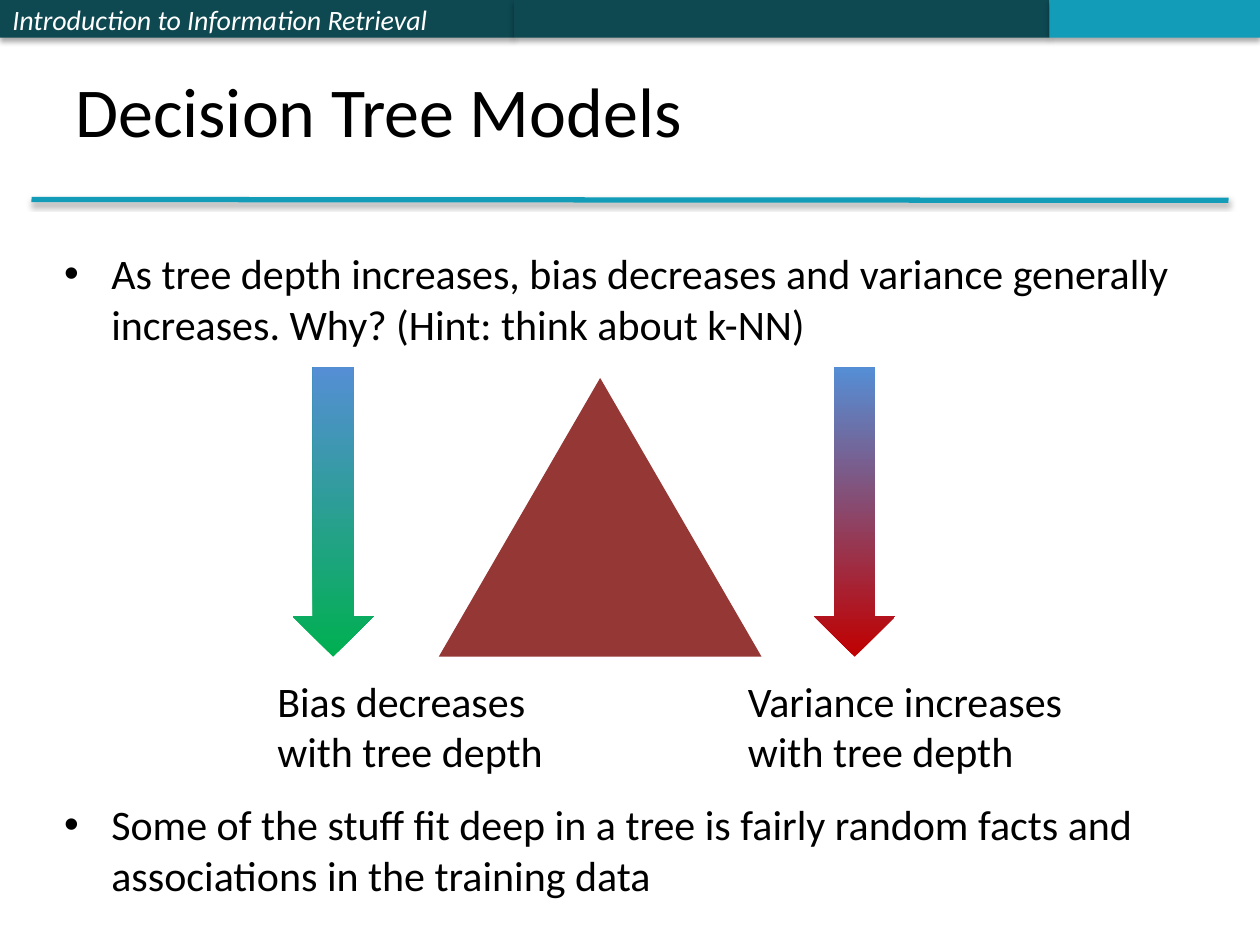
from dataclasses import dataclass

from lxml import etree
from pptx import Presentation
from pptx.dml.color import RGBColor
from pptx.enum.shapes import MSO_CONNECTOR, MSO_SHAPE
from pptx.enum.text import MSO_ANCHOR, PP_ALIGN
from pptx.oxml.ns import qn
from pptx.util import Pt

RECT, TRIANGLE, ARROW = MSO_SHAPE.RECTANGLE, MSO_SHAPE.ISOSCELES_TRIANGLE, MSO_SHAPE.DOWN_ARROW
STRAIGHT = MSO_CONNECTOR.STRAIGHT
TOP, MIDDLE, BOTTOM = MSO_ANCHOR.TOP, MSO_ANCHOR.MIDDLE, MSO_ANCHOR.BOTTOM
LEFT = PP_ALIGN.LEFT


@dataclass(frozen=True)
class Theme:
    font: str = "Calibri"
    head: int = 16
    title: int = 40
    body: int = 24
    ink: str = "000000"
    paper: str = "FFFFFF"
    dark: str = "0E4851"
    teal: str = "139CB7"
    tree: str = "953735"
    start: str = "558ED5"
    good: str = "00B050"
    bad: str = "C00000"


THEME = Theme()


def rgb(code):
    return RGBColor.from_string(code)


def add_shade(shape, alpha, dist):
    """Drop a soft black shadow straight down; alpha in percent."""
    props = shape._element.spPr
    effects = props.find(qn("a:effectLst"))
    if effects is None:
        effects = etree.SubElement(props, qn("a:effectLst"))
    outer = etree.SubElement(effects, qn("a:outerShdw"), blurRad=str(Pt(3.1)),
                             dist=str(Pt(dist)), dir="5400000", rotWithShape="0")
    color = etree.SubElement(outer, qn("a:srgbClr"), val=THEME.ink)
    etree.SubElement(color, qn("a:alpha"), val=str(alpha * 1000))


def add_block(slide, kind, box, color=None):
    shape = slide.shapes.add_shape(kind, *map(Pt, box))
    shape.shadow.inherit = False
    shape.line.fill.background()
    if color:
        shape.fill.solid()
        shape.fill.fore_color.rgb = rgb(color)
    return shape


def set_text(shape, text, size, color=THEME.ink, anchor=TOP, wrap=True):
    frame = shape.text_frame
    frame.word_wrap = wrap
    frame.vertical_anchor = anchor
    frame.text = text
    para = frame.paragraphs[0]
    para.alignment = LEFT
    font = para.font
    font.name, font.size, font.color.rgb = THEME.font, Pt(size), rgb(color)
    return para


def add_text(slide, box, text, size, **style):
    return set_text(slide.shapes.add_textbox(*map(Pt, box)), text, size, **style)


def add_header(slide, box):
    left, top, width, height = box
    parts = ((0.408, THEME.dark), (0.425, THEME.dark), (0.167, THEME.teal))
    bars = []
    for share, color in parts:
        bar = add_block(slide, RECT, (left, top, share * width, height), color)
        add_shade(bar, 35, 1.8)
        bars.append(bar)
        left += share * width
    para = set_text(bars[0], "Introduction to Information Retrieval",
                    THEME.head, THEME.paper, MIDDLE)
    para.font.italic = True


def add_title(slide, box):
    left, top, width, height = box
    add_text(slide, box, "Decision Tree Models", THEME.title, anchor=BOTTOM)
    base = top + height + 24
    rule = slide.shapes.add_connector(STRAIGHT, Pt(left - 18), Pt(base),
                                      Pt(left + width + 18), Pt(base + 0.5))
    rule.line.color.rgb = rgb(THEME.teal)
    rule.line.width = Pt(3)
    add_shade(rule, 38, 1.6)


def add_bullet(slide, box, text):
    para = add_text(slide, box, text, THEME.body)
    props = para._p.get_or_add_pPr()
    props.set("marL", str(Pt(27)))
    props.set("indent", str(Pt(-27)))
    bullet = etree.Element(qn("a:buChar"), char="•")
    face = etree.Element(qn("a:buFont"), typeface="Arial")
    props.insert(0, face)
    face.addnext(bullet)


def add_trend(slide, box, color, label, shift):
    """Arrow fading down into color, over a label shifted sideways."""
    left, top, width, height = box
    fill = add_block(slide, ARROW, box).fill
    fill.gradient()
    fill.gradient_angle = 90
    for stop, tone in zip(fill.gradient_stops, (color, THEME.start)):
        stop.color.rgb = rgb(tone)
    add_text(slide, (left + shift, top + height + 7, 196, 65.5),
             label + "\vwith tree depth", THEME.body, wrap=False)


def add_figure(slide, box):
    left, top, width, height = box
    add_block(slide, TRIANGLE, (left + 83.5, top + 6, 184.5, height - 6), THEME.tree)
    trends = ((left, THEME.good, "Bias decreases", -15.8),
              (left + width - 46.5, THEME.bad, "Variance increases", -44.8))
    for x, color, label, shift in trends:
        add_trend(slide, (x, top, 46.5, height), color, label, shift)


def main():
    deck = Presentation()
    deck.slide_width, deck.slide_height = Pt(720), Pt(540)
    slide = deck.slides.add_slide(deck.slide_layouts[6])
    add_header(slide, (0, 0, 720, 21.6))
    add_title(slide, (36, 0, 648, 90))
    add_bullet(slide, (29.5, 138.2, 654.5, 66),
               "As tree depth increases, bias decreases and variance generally "
               "increases. Why? (Hint: think about k-NN)")
    add_figure(slide, (167.2, 210, 344.4, 165.3))
    add_bullet(slide, (29.5, 453, 654.5, 66),
               "Some of the stuff fit deep in a tree is fairly random facts and "
               "associations in the training data")
    deck.save("out.pptx")


if __name__ == "__main__":
    main()
